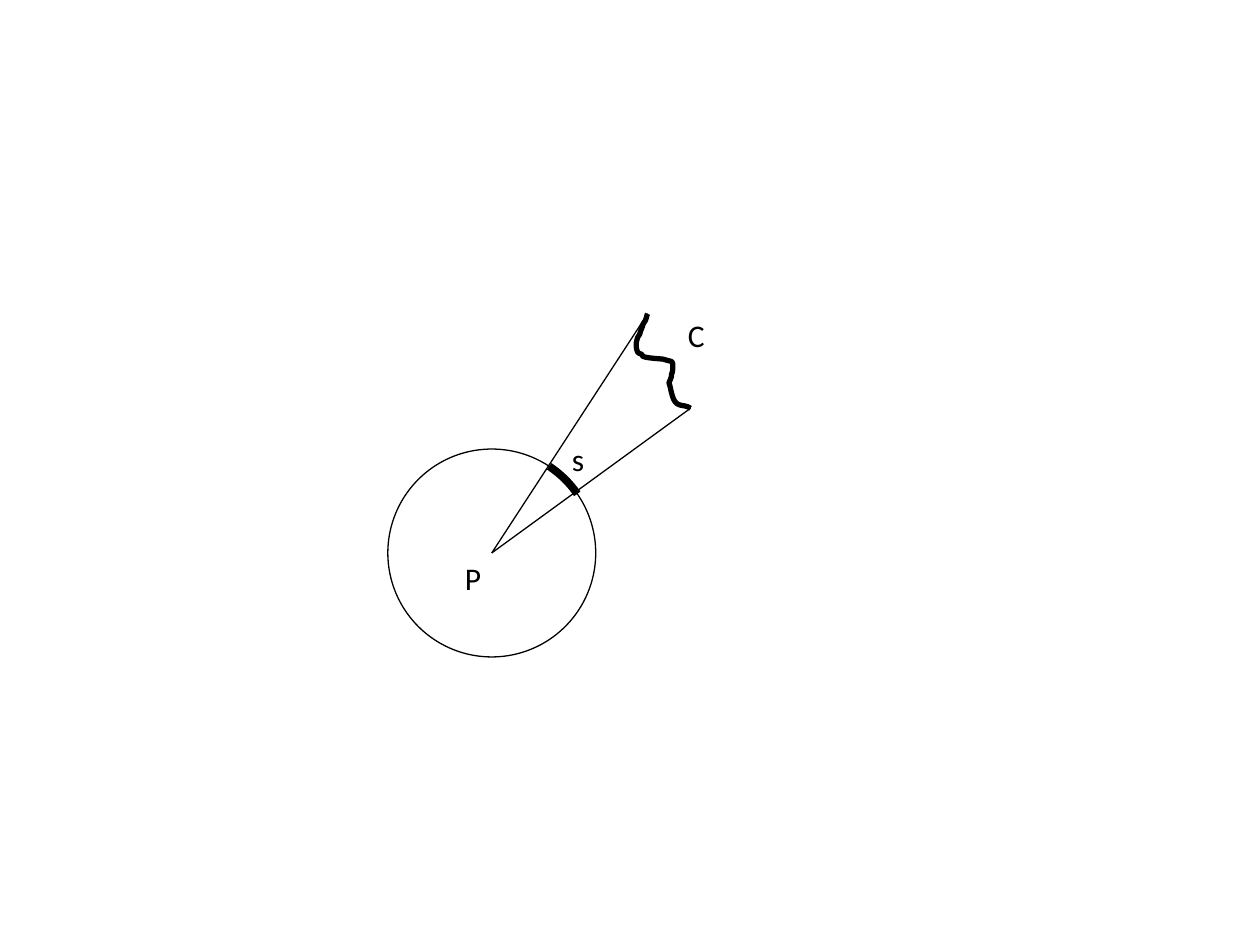
"""Draw a circle around P with the arc s onto which the curve C projects."""
from typing import NamedTuple

from lxml.etree import SubElement
from pptx import Presentation
from pptx.dml.color import RGBColor
from pptx.enum.shapes import MSO_CONNECTOR as Connector
from pptx.enum.shapes import MSO_SHAPE as Shape
from pptx.enum.text import MSO_AUTO_SIZE as AutoSize
from pptx.oxml.ns import qn
from pptx.util import Pt

BLACK = RGBColor(0, 0, 0)
FONT = "Calibri"
THIN, MEDIUM, THICK = 0.75, 3, 4.5
CURVE_STEPS = 6


class Point(NamedTuple):
    x: float
    y: float


class Bend(NamedTuple):
    first: Point
    second: Point
    end: Point


class Label(NamedTuple):
    text: str
    left: float
    top: float
    width: float


CENTRE = Point(281, 316)
RADIUS = 59.4
ARC_ANGLES = (182.11, 195.22)
CURVE_START = Point(370.1, 179.3)
CURVE_BENDS = [
    Bend(Point(369.4, 180.7), Point(369.4, 182.2), Point(368.6, 183.6)),
    Bend(Point(367.9, 184.3), Point(367.2, 185.8), Point(367.2, 186.5)),
    Bend(Point(364.3, 193), Point(367.2, 188.6), Point(364.3, 193)),
    Bend(Point(364.3, 193.7), Point(363.6, 195.1), Point(363.6, 196.6)),
    Bend(Point(363.6, 198), Point(363.6, 199.4), Point(364.3, 200.9)),
    Bend(Point(364.3, 201.6), Point(365.8, 202.3), Point(366.5, 202.3)),
    Bend(Point(367.2, 203), Point(367.2, 203.8), Point(367.9, 203.8)),
    Bend(Point(368.6, 204.5), Point(378.7, 205.2), Point(378.7, 205.2)),
    Bend(Point(378.7, 205.2), Point(383.8, 206.6), Point(383.8, 206.6)),
    Bend(Point(384.5, 207.4), Point(384.5, 208.1), Point(384.5, 208.8)),
    Bend(Point(384.5, 210.2), Point(384.5, 212.4), Point(383.8, 213.8)),
    Bend(Point(383.8, 216), Point(383, 216.7), Point(382.3, 218.9)),
    Bend(Point(383, 219.6), Point(383.8, 227.5), Point(385.9, 229.7)),
    Bend(Point(388.1, 232.6), Point(391.7, 231.1), Point(394.6, 233.3)),
]
LABELS = [
    Label("C", 386, 177, 22.3),
    Label("s", 319.7, 247.7, 20.9),
    Label("P", 258.5, 316, 22.3),
]


def set_outline(shape, width: float) -> None:
    shape.fill.background()
    shape.shadow.inherit = False
    shape.line.color.rgb = BLACK
    shape.line.width = Pt(width)


def add_round(page, kind: Shape, width: float):
    corner = Point(CENTRE.x - RADIUS, CENTRE.y - RADIUS)
    size = Pt(2 * RADIUS)
    shape = page.shapes.add_shape(kind, Pt(corner.x), Pt(corner.y), size, size)
    set_outline(shape, width)
    return shape


def bend_point(start: Point, bend: Bend, t: float) -> Point:
    u = 1 - t
    weights = (u**3, 3 * u * u * t, 3 * u * t * t, t**3)
    nodes = (start, *bend)
    return Point(sum(w * node.x for w, node in zip(weights, nodes)),
                 sum(w * node.y for w, node in zip(weights, nodes)))


def add_curve(page, start: Point, bends: list[Bend], width: float) -> None:
    points = []
    builder = page.shapes.build_freeform(Pt(start.x), Pt(start.y))
    for bend in bends:
        points += [bend_point(start, bend, step / CURVE_STEPS)
                   for step in range(1, CURVE_STEPS + 1)]
        start = bend.end
    builder.add_line_segments([(Pt(p.x), Pt(p.y)) for p in points], close=False)
    set_outline(builder.convert_to_shape(), width)


def add_ray(page, start: Point, end: Point, width: float) -> None:
    ray = page.shapes.add_connector(
        Connector.STRAIGHT, Pt(start.x), Pt(start.y), Pt(end.x), Pt(end.y))
    ray.line.color.rgb = BLACK
    ray.line.width = Pt(width)
    SubElement(ray._element.spPr, qn("a:effectLst"))


def add_label(page, label: Label) -> None:
    box = page.shapes.add_textbox(
        Pt(label.left), Pt(label.top), Pt(label.width), Pt(29))
    frame = box.text_frame
    frame.word_wrap = True
    frame.auto_size = AutoSize.SHAPE_TO_FIT_TEXT
    span = frame.paragraphs[0].add_run()
    span.text = label.text
    span.font.name = FONT
    span.font.size = Pt(18)
    span.font.color.rgb = BLACK


def main() -> None:
    deck = Presentation()
    deck.slide_width, deck.slide_height = Pt(720), Pt(540)
    page = deck.slides.add_slide(deck.slide_layouts[6])
    add_round(page, Shape.OVAL, THIN)
    add_curve(page, CURVE_START, CURVE_BENDS, MEDIUM)
    for end in (CURVE_START, CURVE_BENDS[-1].end):
        add_ray(page, CENTRE, end, THIN)
    arc = add_round(page, Shape.ARC, THICK)
    for index, angle in enumerate(ARC_ANGLES):
        arc.adjustments[index] = angle
    for label in LABELS:
        add_label(page, label)
    deck.save("out.pptx")


if __name__ == "__main__":
    main()
